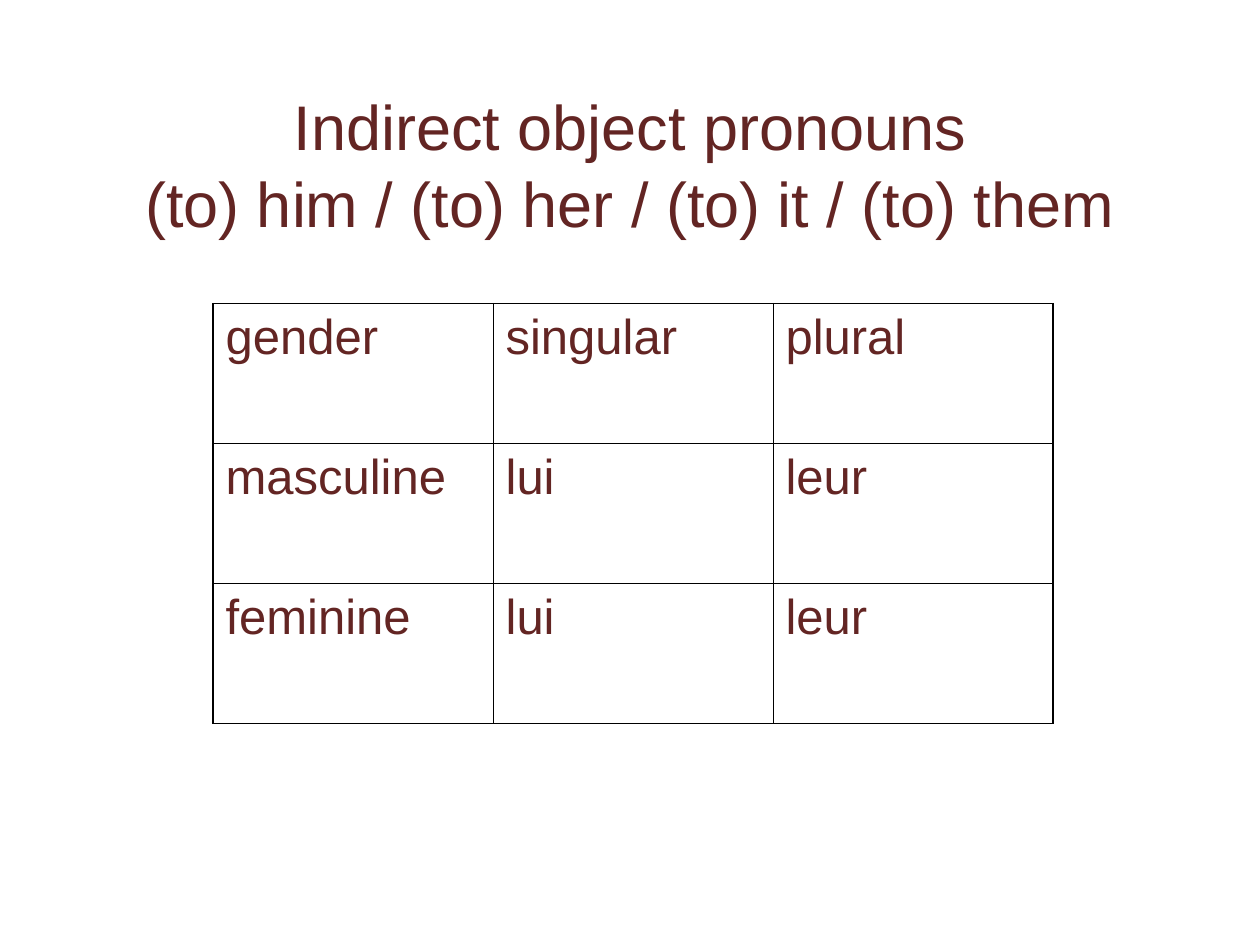
from lxml import etree
from pptx import Presentation
from pptx.dml.color import RGBColor
from pptx.enum.text import MSO_ANCHOR, PP_ALIGN
from pptx.oxml.ns import qn
from pptx.util import Pt

CENTER = PP_ALIGN.CENTER
MIDDLE = MSO_ANCHOR.MIDDLE
MAROON = RGBColor(0x63, 0x25, 0x23)
BLACK = RGBColor(0, 0, 0)
FONT = "Arial"
OUTER, INNER = Pt(1.08), Pt(0.45)

TITLE = "Indirect object pronouns\v(to) him / (to) her / (to) it / (to) them"
PRONOUNS = [
    ["gender", "singular", "plural"],
    ["masculine", "lui", "leur"],
    ["feminine", "lui", "leur"],
]


def set_font(p, size):
    """Give a paragraph the slide's typeface and colour."""
    p.font.name = FONT
    p.font.size = Pt(size)
    p.font.color.rgb = MAROON


def add_border(cell, side, width):
    """Draw one side of a cell as a solid black line."""
    ln = etree.SubElement(cell._tc.get_or_add_tcPr(), qn(f"a:ln{side}"), w=str(width))
    fill = etree.SubElement(ln, qn("a:solidFill"))
    etree.SubElement(fill, qn("a:srgbClr"), val=str(BLACK))


def add_title(slide, left, top, width, height):
    """Place the centred two-line title in the given box."""
    tf = slide.shapes.add_textbox(left, top, width, height).text_frame
    tf.word_wrap = True
    tf.vertical_anchor = MIDDLE
    p = tf.paragraphs[0]
    p.text = TITLE
    p.alignment = CENTER
    p.line_spacing = 1.03
    set_font(p, 36)


def add_pronoun_table(slide, left, top, width, height):
    """Fill the given box with the pronoun grid, heavier around the outside."""
    last_row, last_col = len(PRONOUNS) - 1, len(PRONOUNS[0]) - 1
    table = slide.shapes.add_table(
        last_row + 1, last_col + 1, left, top, width, height
    ).table
    table.first_row = table.horz_banding = False
    for i, row in enumerate(PRONOUNS):
        for j, text in enumerate(row):
            cell = table.cell(i, j)
            edges = {"L": j == 0, "R": j == last_col, "T": i == 0, "B": i == last_row}
            for side, is_outer in edges.items():
                add_border(cell, side, OUTER if is_outer else INNER)
            cell.fill.background()
            p = cell.text_frame.paragraphs[0]
            p.text = text
            set_font(p, 28)


def main():
    """Build and save the slide."""
    prs = Presentation()
    prs.slide_width, prs.slide_height = Pt(720), Pt(540)
    slide = prs.slides.add_slide(prs.slide_layouts[6])
    add_title(slide, Pt(54), Pt(48), Pt(612), Pt(90))
    add_pronoun_table(slide, Pt(121.75), Pt(173.5), Pt(480), Pt(240))
    prs.save("out.pptx")


if __name__ == "__main__":
    main()
